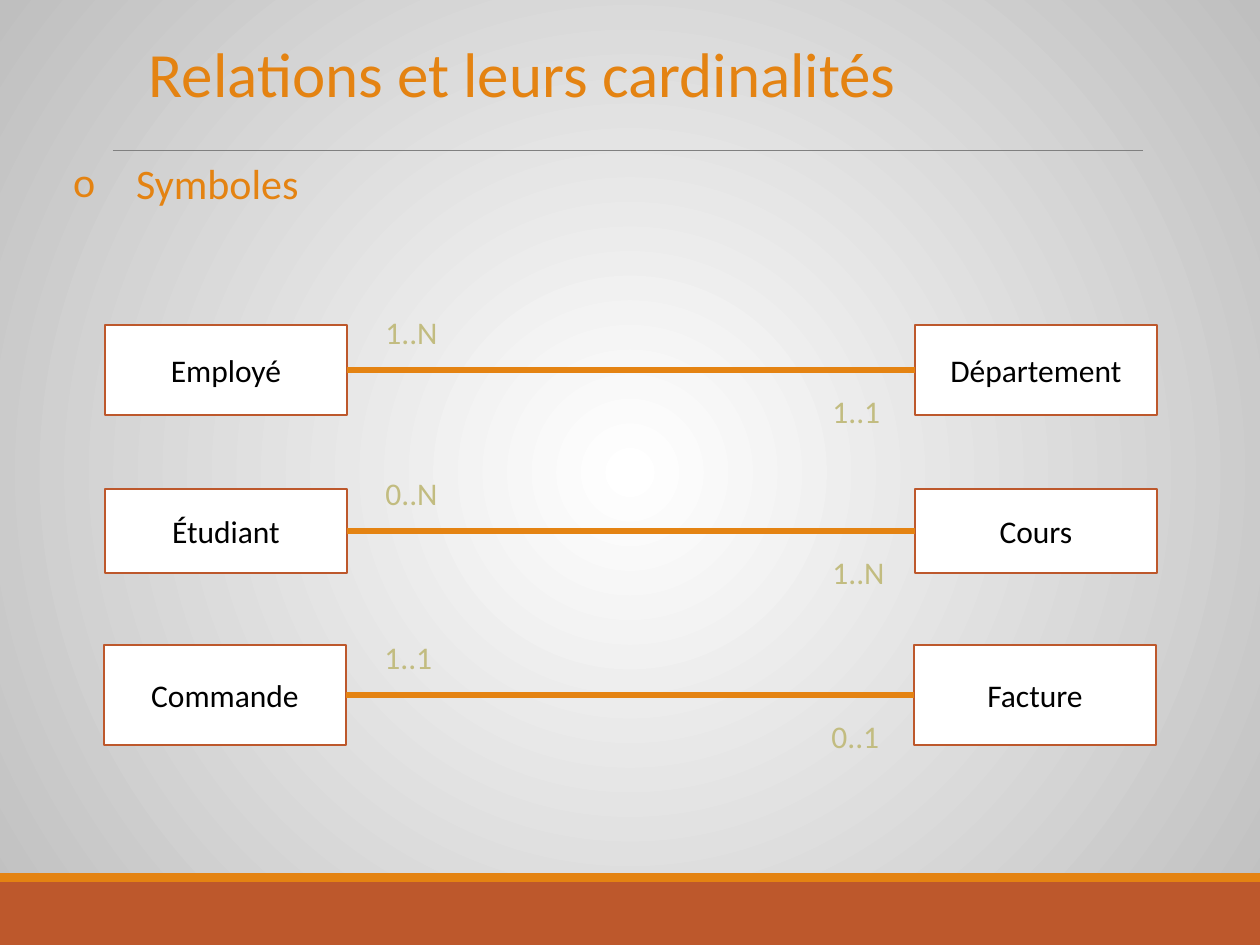
from dataclasses import dataclass

from pptx import Presentation
from pptx.dml.color import RGBColor
from pptx.enum.shapes import MSO_CONNECTOR, MSO_SHAPE
from pptx.enum.text import MSO_ANCHOR, MSO_AUTO_SIZE, PP_ALIGN
from pptx.oxml import parse_xml
from pptx.oxml.ns import nsdecls, qn
from pptx.oxml.xmlchemy import OxmlElement
from pptx.util import Pt


@dataclass(frozen=True)
class Theme:
    font: str = "Calibri"
    orange: str = "E48312"
    rust: str = "BD582C"
    olive: str = "C2BC80"
    grey: str = "808080"
    white: str = "FFFFFF"
    black: str = "000000"
    edge: str = "BFBFBF"
    title: int = 36
    heading: int = 24
    body: int = 18


THEME = Theme()
LEFT_X, RIGHT_X, BOX_W = 105, 915, 242
LABEL_W, LABEL_H = 81, 50

# left entity, right entity, left and right cardinality, box top, box height, x shift
RELATIONS = [
    ("Employé", "Département", "1..N", "1..1", 325, 90, 0),
    ("Étudiant", "Cours", "0..N", "1..N", 489, 84, 0),
    ("Commande", "Facture", "1..1", "0..1", 645, 100, -1),
]


def px(n):
    return round(n * 914400 / 126)


def rgb(value):
    return RGBColor.from_string(value)


def write(tf, text, size, color):
    tf.text = text
    p = tf.paragraphs[0]
    font = p.runs[0].font
    font.name, font.size = THEME.font, Pt(size)
    font.color.rgb = rgb(color)
    return p


def set_background(s):
    s.background.fill.solid()
    bg = s.element.find(".//" + qn("p:bgPr"))
    bg.replace(bg[0], parse_xml(
        f'<a:gradFill {nsdecls("a")} rotWithShape="1"><a:gsLst>'
        f'<a:gs pos="0"><a:srgbClr val="{THEME.white}"/></a:gs>'
        f'<a:gs pos="100000"><a:srgbClr val="{THEME.edge}"/></a:gs></a:gsLst>'
        '<a:path path="circle"><a:fillToRect l="50000" t="50000" r="50000" b="50000"/>'
        '</a:path></a:gradFill>'))


def add_rect(s, x, y, w, h, fill, border=None):
    sp = s.shapes.add_shape(MSO_SHAPE.RECTANGLE, px(x), px(y), px(w), px(h))
    sp.shadow.inherit = False
    sp.fill.solid()
    sp.fill.fore_color.rgb = rgb(fill)
    if border:
        sp.line.color.rgb = rgb(border)
        sp.line.width = Pt(1.25)
    else:
        sp.line.fill.background()
    return sp


def add_line(s, x1, x2, y, color, width):
    line = s.shapes.add_connector(MSO_CONNECTOR.STRAIGHT, px(x1), px(y), px(x2), px(y))
    line.line.color.rgb = rgb(color)
    line.line.width = Pt(width)
    line.element.spPr.append(OxmlElement("a:effectLst"))
    return line


def add_text(s, x, y, w, h, text, size, color):
    tf = s.shapes.add_textbox(px(x), px(y), px(w), px(h)).text_frame
    tf.word_wrap = True
    return tf, write(tf, text, size, color)


def set_title(s, text):
    title = s.shapes.title
    title.left, title.top, title.width, title.height = px(10), px(32), px(1250), px(84)
    tf = title.text_frame
    tf.auto_size = MSO_AUTO_SIZE.NONE
    tf.vertical_anchor = MSO_ANCHOR.BOTTOM
    p = write(tf, text, THEME.title, THEME.orange)
    p.alignment = PP_ALIGN.LEFT
    p._p.get_or_add_pPr().set("marL", str(px(126)))


def add_heading(s, text):
    tf, p = add_text(s, 10, 157, 1239, 703, text, THEME.heading, THEME.orange)
    tf.margin_left = tf.margin_right = 0
    pPr = p._p.get_or_add_pPr()
    pPr.set("marL", str(px(126)))
    pPr.set("indent", str(-px(63)))
    for tag in (f'<a:buClr {nsdecls("a")}><a:srgbClr val="{THEME.orange}"/></a:buClr>',
                f'<a:buFont {nsdecls("a")} typeface="{THEME.font}"/>',
                f'<a:buChar {nsdecls("a")} char="o"/>'):
        pPr.append(parse_xml(tag))
    p.line_spacing = 0.9
    p.space_after = Pt(4)


def add_entity(s, x, y, h, name):
    sp = add_rect(s, x, y, BOX_W, h, THEME.white, THEME.rust)
    sp.text_frame.vertical_anchor = MSO_ANCHOR.MIDDLE
    write(sp.text_frame, name, THEME.body, THEME.black).alignment = PP_ALIGN.CENTER
    return sp


def add_relation(s, left, right, left_card, right_card, y, h, dx):
    start = add_entity(s, LEFT_X + dx, y, h, left)
    end = add_entity(s, RIGHT_X + dx, y, h, right)
    mid = y + h // 2
    line = add_line(s, LEFT_X + BOX_W + dx, RIGHT_X + dx, mid, THEME.orange, 3)
    line.begin_connect(start, 3)
    line.end_connect(end, 1)
    # Cardinalities: above the line at its start, below it at its end
    for x, offset, card in ((373, -63, left_card), (820, 16, right_card)):
        add_text(s, x + dx, mid + offset, LABEL_W, LABEL_H, card, THEME.body, THEME.olive)


def main():
    prs = Presentation()
    prs.slide_width, prs.slide_height = px(1260), px(945)
    s = prs.slides.add_slide(prs.slide_layouts[5])

    # Background, footer bands and title rule
    set_background(s)
    add_rect(s, 0, 882, 1260, 63, THEME.rust)
    add_rect(s, 0, 873, 1260, 9, THEME.orange)
    add_line(s, 113, 1143, 150, THEME.grey, 0.5)

    # Title and heading
    set_title(s, "Relations et leurs cardinalités")
    add_heading(s, "Symboles")

    # Entity pairs
    for relation in RELATIONS:
        add_relation(s, *relation)

    prs.save("out.pptx")


if __name__ == "__main__":
    main()
